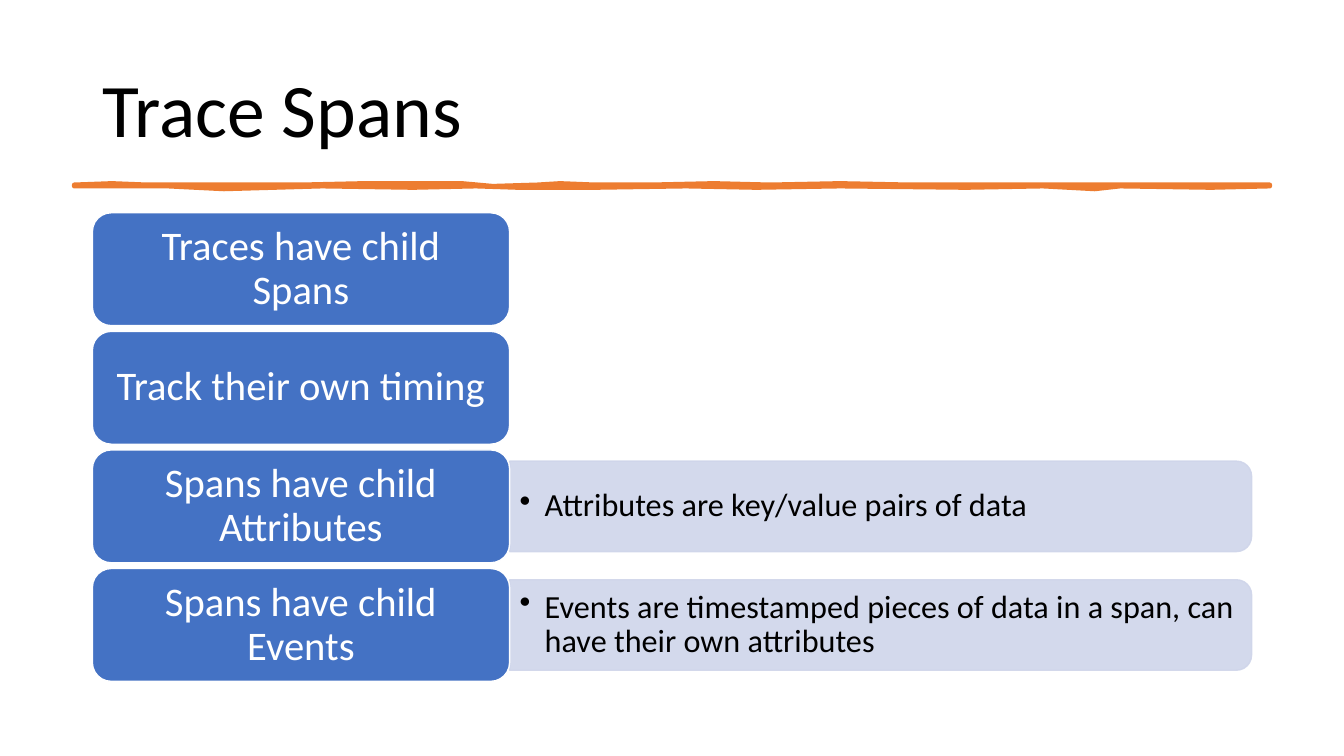
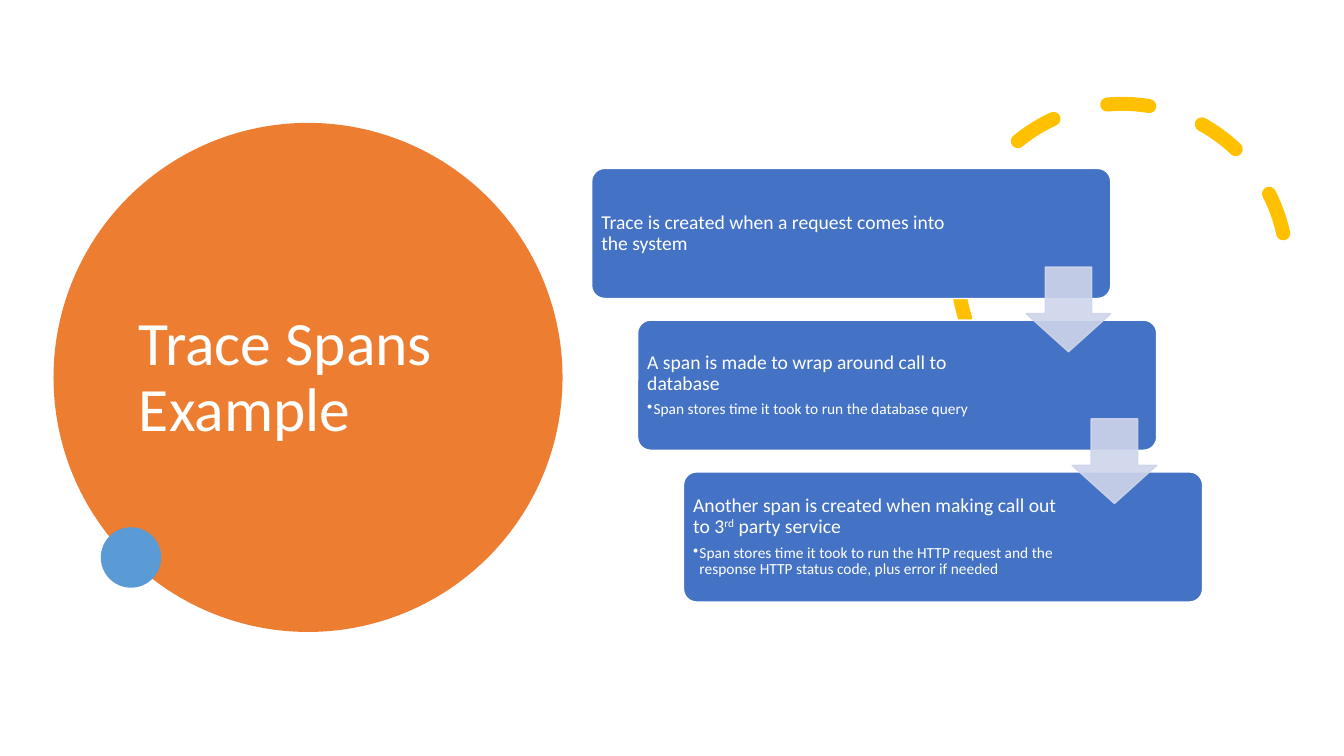
import pptx
import pptx.util
import pptx.dml.color
import pptx.enum.dml
import pptx.enum.shapes
import pptx.enum.text
import pptx.oxml.ns
from lxml import etree

Pt = pptx.util.Pt
qn = pptx.oxml.ns.qn
SHAPES = pptx.enum.shapes.MSO_SHAPE
ALIGN = pptx.enum.text.PP_ALIGN

COLORS = {
    "black": "000000",
    "white": "FFFFFF",
    "orange": "ED7D31",
    "blue": "4472C4",
    "light blue": "5B9BD5",
    "pale": "CFD5EA",
    "yellow": "FFC000",
}
FONT = "Calibri"

# Text styles: font size, colour, alignment, space after, hanging bullet indent
STYLES = {
    "title": (54, "black", ALIGN.LEFT, 0, 0),
    "circle title": (44, "white", ALIGN.LEFT, 0, 0),
    "topic": (29, "white", ALIGN.CENTER, 0, 0),
    "detail": (23, "black", ALIGN.LEFT, 0, 18),
    "step": (14, "white", ALIGN.LEFT, 5, 0),
    "step detail": (11, "white", ALIGN.LEFT, 0, 4.5),
}

# Slide 1: topic boxes, some with a detail panel
TOPICS = [
    ("Traces have child Spans", None),
    ("Track their own timing", None),
    ("Spans have child Attributes", "Attributes are key/value pairs of data"),
    ("Spans have child Events",
     "Events are timestamped pieces of data in a span, can have their own attributes"),
]
TOPIC_LEFT, TOPIC_TOP, TOPIC_PITCH = 66, 152, 84.7
TOPIC_WIDTH, TOPIC_HEIGHT = 298, 80.6
PANEL_WIDTH, PANEL_HEIGHT = 530, 64.6

# Upper and lower edge of the hand-drawn rule under the title
RULE_UPPER = [(52.6, 131.8), (80, 131.2), (105, 132), (143, 132.4), (180, 131.6),
              (215, 131.8), (260, 131.4), (300, 130.6), (330, 131.4), (352, 133),
              (384, 131.6), (400, 131.2), (425, 132), (465, 132), (510, 131),
              (550, 132.3), (600, 130.8), (650, 132.2), (690, 131.6), (735, 132.4),
              (780, 131.6), (825, 132.2), (865, 131.6), (907.2, 132)]
RULE_LOWER = [(907.2, 133.4), (865, 134), (800, 132.8), (782, 134.6), (745, 133.4),
              (690, 133.6), (600, 133.4), (540, 134.4), (490, 132.8), (425, 133.6),
              (370, 134.2), (340, 133.4), (295, 133.8), (230, 133.4), (160, 134.8),
              (120, 133.4), (90, 132.6), (52.6, 133.4)]

# Slide 2: staircase of steps
STEPS = [
    [("step", ["Trace is created when a request comes into the system"])],
    [("step", ["A span is made to wrap around call to database"]),
     ("step detail", ["Span stores time it took to run the database query"])],
    [("step", ["Another span is created when making call out to 3", "rd", " party service"]),
     ("step detail", ["Span stores time it took to run the HTTP request and the response "
                      "HTTP status code, plus error if needed"])],
]
STEP_LEFT, STEP_TOP = 422.6, 120.3
STEP_RIGHT_SHIFT, STEP_DOWN_SHIFT = 32.8, 108.4
ARROW_LEFT, ARROW_TOP, ARROW_SIZE = 733, 190.8, 60.5


def rgb(name):
    return pptx.dml.color.RGBColor.from_string(COLORS[name])


def apply_format(target, values):
    for name, value in values.items():
        setattr(target, name, value)


def paint(shape, fill=None, line=None, line_width=1, alpha=None):
    """Set fill, outline and opacity (in percent) of a shape."""
    shape.shadow.inherit = False
    if fill:
        shape.fill.solid()
        shape.fill.fore_color.rgb = rgb(fill)
    else:
        shape.fill.background()
    if line:
        shape.line.color.rgb = rgb(line)
        shape.line.width = Pt(line_width)
    else:
        shape.line.fill.background()
    if alpha:
        for color in shape._element.spPr.iter(qn("a:srgbClr")):
            etree.SubElement(color, qn("a:alpha")).set("val", str(alpha * 1000))


def add_shape(slide, kind, box, adjustments=(), rotation=0, **look):
    shape = slide.shapes.add_shape(kind, *map(Pt, box))
    for index, value in enumerate(adjustments):
        shape.adjustments[index] = value
    shape.rotation = rotation
    paint(shape, **look)
    return shape


def add_bullet(paragraph, indent):
    properties = paragraph._p.get_or_add_pPr()
    properties.set("marL", str(Pt(indent)))
    properties.set("indent", str(-Pt(indent)))
    etree.SubElement(properties, qn("a:buChar")).set("char", "•")


def write_text(shape, paragraphs, insets=(7.2, 3.6, 7.2, 3.6)):
    """Write (style, pieces) paragraphs; every second piece is superscript."""
    frame = shape.text_frame
    left, top, right, bottom = map(Pt, insets)
    apply_format(frame, {
        "word_wrap": True,
        "vertical_anchor": pptx.enum.text.MSO_ANCHOR.MIDDLE,
        "margin_left": left, "margin_top": top,
        "margin_right": right, "margin_bottom": bottom,
    })
    for index, (style, pieces) in enumerate(paragraphs):
        size, color, alignment, space_after, indent = STYLES[style]
        paragraph = frame.add_paragraph() if index else frame.paragraphs[0]
        apply_format(paragraph, {"alignment": alignment, "line_spacing": 0.9,
                                 "space_after": Pt(space_after)})
        if indent:
            add_bullet(paragraph, indent)
        for number, piece in enumerate(pieces):
            run = paragraph.add_run()
            run.text = piece
            apply_format(run.font, {"name": FONT, "size": Pt(size)})
            run.font.color.rgb = rgb(color)
            if number % 2:
                run._r.get_or_add_rPr().set("baseline", "30000")


def add_text(slide, box, style, text):
    write_text(slide.shapes.add_textbox(*map(Pt, box)), [(style, [text])])


def add_rule(slide):
    start, *others = RULE_UPPER + RULE_LOWER
    builder = slide.shapes.build_freeform(*start, scale=Pt(1))
    builder.add_line_segments(others, close=True)
    paint(builder.convert_to_shape(), fill="orange", line="orange", line_width=3.25)


def add_panel(slide, left, top, text):
    """Panel rounded on its right side: a tall shape turned by 90 degrees."""
    turn = (PANEL_WIDTH - PANEL_HEIGHT) / 2
    add_shape(slide, SHAPES.ROUND_2_SAME_RECTANGLE,
              (left + turn, top - turn, PANEL_HEIGHT, PANEL_WIDTH),
              rotation=90, fill="pale", line="pale", alpha=90)
    add_text(slide, (left, top, PANEL_WIDTH - 3, PANEL_HEIGHT), "detail", text)


def add_topic(slide, top, topic, detail):
    if detail:
        add_panel(slide, TOPIC_LEFT + TOPIC_WIDTH,
                  top + (TOPIC_HEIGHT - PANEL_HEIGHT) / 2, detail)
    box = add_shape(slide, SHAPES.ROUNDED_RECTANGLE,
                    (TOPIC_LEFT, top, TOPIC_WIDTH, TOPIC_HEIGHT),
                    fill="blue", line="white")
    write_text(box, [("topic", [topic])], (8.6, 4.3, 8.6, 4.3))


def add_dashed_arc(slide):
    # Arc angles are in units of 100000/60000 degree
    angles = [degrees * 0.6 for degrees in (158.17, 17.81)]
    arc = add_shape(slide, SHAPES.ARC, (684, 74.2, 235.4, 235.4), angles,
                    rotation=330.2, line="yellow", line_width=10)
    arc.line.dash_style = pptx.enum.dml.MSO_LINE.DASH
    arc._element.spPr.find(qn("a:ln")).set("cap", "rnd")


def build_spans_slide(slide):
    add_text(slide, (66, 28.8, 828, 104.4), "title", "Trace Spans")
    add_rule(slide)
    for index, (topic, detail) in enumerate(TOPICS):
        add_topic(slide, TOPIC_TOP + index * TOPIC_PITCH, topic, detail)


def build_example_slide(slide):
    # Title circle and decorations
    add_shape(slide, SHAPES.OVAL, (38.2, 87.8, 363.6, 363.6), fill="orange")
    add_text(slide, (92.2, 110.2, 254.9, 320.4), "circle title", "Trace Spans Example")
    add_dashed_arc(slide)
    add_shape(slide, SHAPES.OVAL, (72, 376.6, 43.2, 43.2), fill="light blue")

    # Steps, then the arrows that lie over them
    shifts = [(i * STEP_RIGHT_SHIFT, i * STEP_DOWN_SHIFT) for i in range(len(STEPS))]
    for (right, down), paragraphs in zip(shifts, STEPS):
        box = add_shape(slide, SHAPES.ROUNDED_RECTANGLE,
                        (STEP_LEFT + right, STEP_TOP + down, 370.8, 92.9), [0.1],
                        fill="blue", line="white")
        write_text(box, paragraphs, (4.2, 4.2, 99, 4.2))
    for right, down in shifts[:-1]:
        add_shape(slide, SHAPES.DOWN_ARROW,
                  (ARROW_LEFT + right, ARROW_TOP + down, ARROW_SIZE, ARROW_SIZE),
                  [0.55, 0.45], fill="pale", line="pale", alpha=90)


def main():
    presentation = pptx.Presentation()
    apply_format(presentation, {"slide_width": Pt(960), "slide_height": Pt(540)})
    blank = presentation.slide_layouts[6]
    for build in (build_spans_slide, build_example_slide):
        build(presentation.slides.add_slide(blank))
    presentation.save("out.pptx")


if __name__ == "__main__":
    main()
